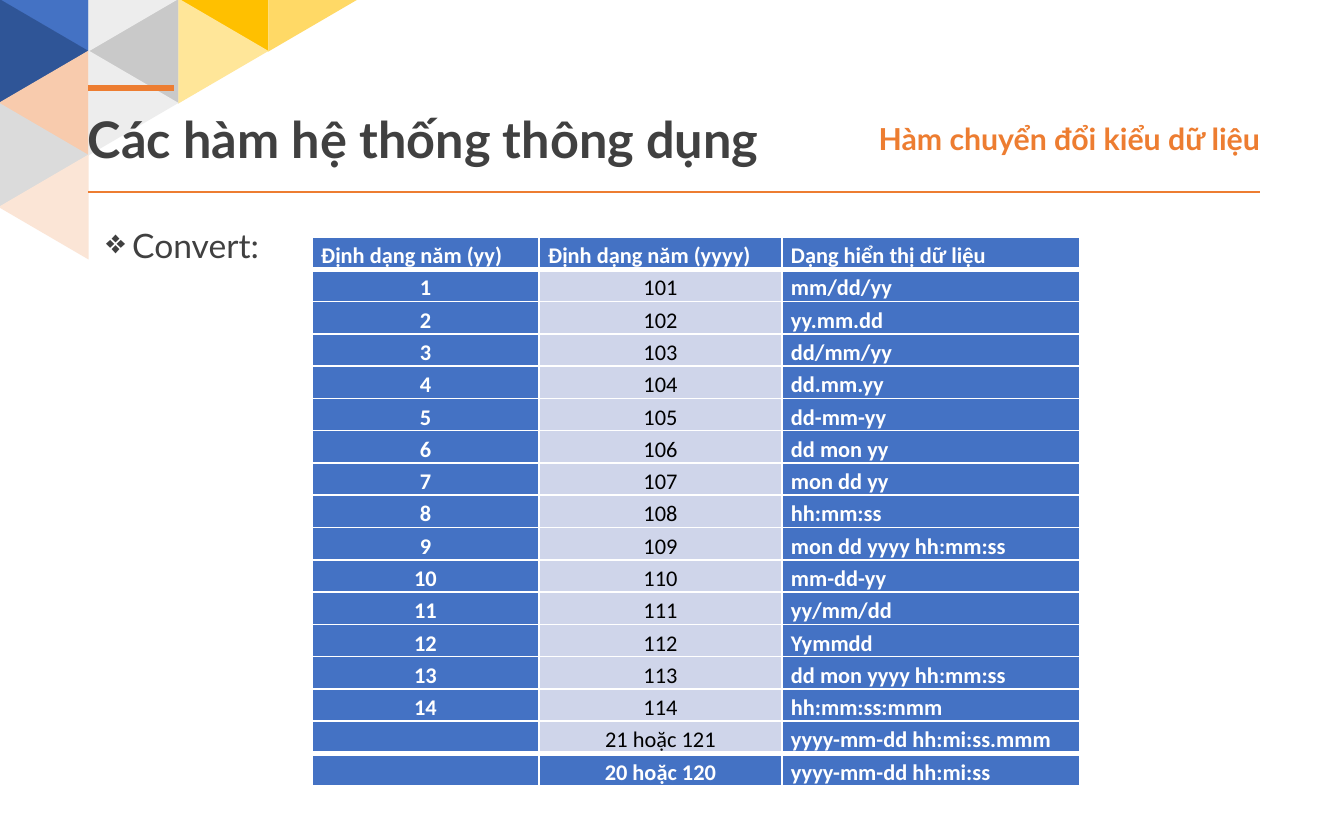
"""Builds the slide on date formats of the Convert function."""
from lxml.etree import SubElement
from pptx import Presentation
from pptx.dml.color import RGBColor
from pptx.enum.shapes import MSO_CONNECTOR, MSO_SHAPE
from pptx.enum.text import MSO_ANCHOR as ANCHOR, PP_ALIGN as ALIGN
from pptx.oxml.ns import qn
from pptx.util import Emu, Pt

BLUE = RGBColor(0x44, 0x72, 0xC4)
NAVY = RGBColor(0x2F, 0x55, 0x97)
PEACH = RGBColor(0xF8, 0xCB, 0xAD)
PALE_PEACH = RGBColor(0xFB, 0xE5, 0xD6)
GREY = RGBColor(0xC9, 0xC9, 0xC9)
LIGHT_GREY = RGBColor(0xDB, 0xDB, 0xDB)
PALE_GREY = RGBColor(0xED, 0xED, 0xED)
GOLD = RGBColor(0xFF, 0xC0, 0x00)
PALE_GOLD = RGBColor(0xFF, 0xE6, 0x99)
SOFT_GOLD = RGBColor(0xFF, 0xD9, 0x66)
ORANGE = RGBColor(0xED, 0x7D, 0x31)
LAVENDER = RGBColor(0xCF, 0xD5, 0xEA)
DARK = RGBColor(0x40, 0x40, 0x40)
BLACK = RGBColor(0x00, 0x00, 0x00)
WHITE = RGBColor(0xFF, 0xFF, 0xFF)


def px(count):
    return Emu(round(count * 914400 / 134.4))


def add_text(left, top, width, height, text, size, color, bold):
    box = page.shapes.add_textbox(px(left), px(top), px(width), px(height))
    frame = box.text_frame
    frame.word_wrap = True
    para = frame.paragraphs[0]
    para.text = text
    para.font.name, para.font.size, para.font.bold = "Lato", Pt(size), bold
    para.font.color.rgb = color
    return frame, para


deck = Presentation()
deck.slide_width, deck.slide_height = px(1344), px(840)
page = deck.slides.add_slide(deck.slide_layouts[6])

LEFT, RIGHT = 270, 90
TRIANGLES = [
    (0, 0, LEFT, BLUE), (0, 1, RIGHT, NAVY), (0, 2, LEFT, PEACH),
    (0, 3, RIGHT, LIGHT_GREY), (0, 4, LEFT, PALE_PEACH),
    (1, 1, LEFT, GREY), (1, 0, RIGHT, PALE_GREY), (1, 2, RIGHT, PALE_GREY),
    (2, 0, LEFT, GOLD), (2, 1, RIGHT, PALE_GOLD), (3, 0, RIGHT, SOFT_GOLD),
]
for column, step, rotation, color in TRIANGLES:
    triangle = page.shapes.add_shape(
        MSO_SHAPE.ISOSCELES_TRIANGLE,
        px(90 * column - 9), px(52 * step - 46), px(105), px(90))
    triangle.rotation = rotation
    triangle.shadow.inherit = False
    triangle.fill.solid()
    triangle.fill.fore_color.rgb = color
    triangle.line.fill.background()

for start, end, y, weight in [(88, 1260, 192, 1), (174, 88, 88, 3)]:
    rule = page.shapes.add_connector(
        MSO_CONNECTOR.STRAIGHT, px(start), px(y), px(end), px(y))
    rule.line.color.rgb = ORANGE
    rule.line.width = Pt(weight)
    SubElement(rule._element.spPr, qn("a:effectLst"))

for left, width, text, size, color, align in [
    (88, 759, "Các hàm hệ thống thông dụng", 27, DARK, ALIGN.LEFT),
    (626, 634, "Hàm chuyển đổi kiểu dữ liệu", 16.2, ORANGE, ALIGN.RIGHT),
]:
    frame, para = add_text(left, 112, width, 52, text, size, color, True)
    frame.margin_left = frame.margin_right = 0
    frame.margin_top = frame.margin_bottom = px(5)
    frame.vertical_anchor = ANCHOR.MIDDLE
    para.alignment = align

frame, para = add_text(93, 223, 1159, 534, "Convert:", 18, DARK, False)
para.line_spacing = 0.9
para.space_before = Pt(7.5)
properties = para._p.get_or_add_pPr()
properties.set("marL", str(px(26)))
properties.set("indent", str(px(-26)))
bullet = properties.makeelement(qn("a:buChar"), {"char": "❖"})
properties.find(qn("a:defRPr")).addprevious(bullet)

FORMATS = [
    "mm/dd/yy", "yy.mm.dd", "dd/mm/yy", "dd.mm.yy", "dd-mm-yy", "dd mon yy",
    "mon dd yy", "hh:mm:ss", "mon dd yyyy hh:mm:ss", "mm-dd-yy", "yy/mm/dd",
    "Yymmdd", "dd mon yyyy hh:mm:ss", "hh:mm:ss:mmm",
]
rows = [("Định dạng năm (yy)", "Định dạng năm (yyyy)", "Dạng hiển thị dữ liệu")]
rows += [(str(n), str(100 + n), text) for n, text in enumerate(FORMATS, 1)]
rows += [("", "21 hoặc 121", "yyyy-mm-dd hh:mi:ss.mmm"),
         ("", "20 hoặc 120", "yyyy-mm-dd hh:mi:ss")]
last = len(rows) - 1

table = page.shapes.add_table(
    len(rows), 3, px(312), px(237), px(768), px(31 * len(rows))).table
for column, width in zip(table.columns, (227, 243, 298)):
    column.width = px(width)

for r, row in enumerate(rows):
    table.rows[r].height = px(31)
    for c, text in enumerate(row):
        cell = table.cell(r, c)
        plain = c == 1 and 0 < r < last
        centred = c < 2 and r > 0
        thick = {"lnB": r in (0, last - 1), "lnT": r in (1, last)}
        for side in ("lnL", "lnR", "lnT", "lnB"):
            weight = Pt(3 if thick.get(side) else 1)
            border = SubElement(cell._tc.get_or_add_tcPr(), qn("a:" + side), w=str(weight))
            paint = SubElement(border, qn("a:solidFill"))
            SubElement(paint, qn("a:srgbClr"), val=str(WHITE))
        cell.fill.solid()
        cell.fill.fore_color.rgb = LAVENDER if plain else BLUE
        cell.margin_left = cell.margin_right = px(9)
        cell.margin_top = cell.margin_bottom = 0
        cell.vertical_anchor = ANCHOR.MIDDLE if centred else ANCHOR.TOP
        para = cell.text_frame.paragraphs[0]
        para.text = text
        para.alignment = ALIGN.CENTER if centred else ALIGN.JUSTIFY
        para.line_spacing = 1.2
        para.font.name, para.font.size, para.font.bold = "Calibri", Pt(12), not plain
        para.font.color.rgb = BLACK if plain else WHITE
        if not text:
            SubElement(para._p, qn("a:endParaRPr"), sz="1200")

deck.save("out.pptx")
